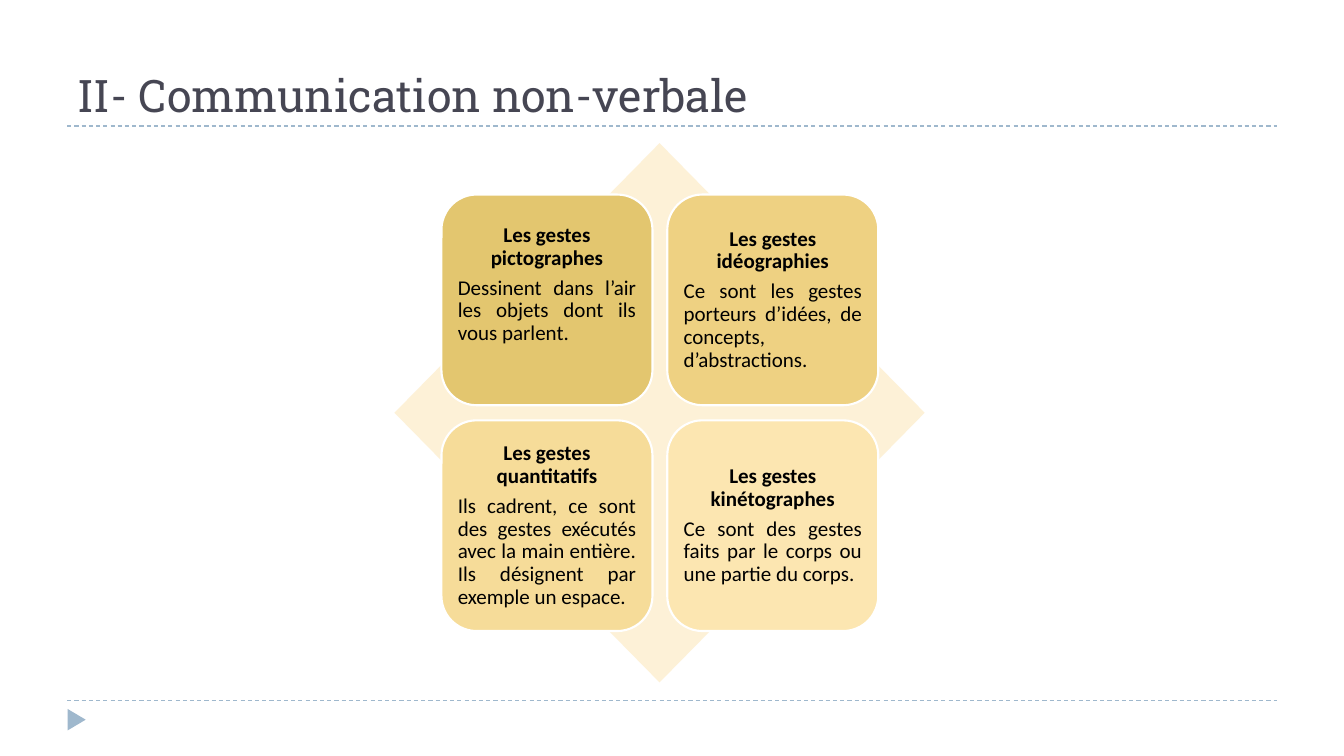
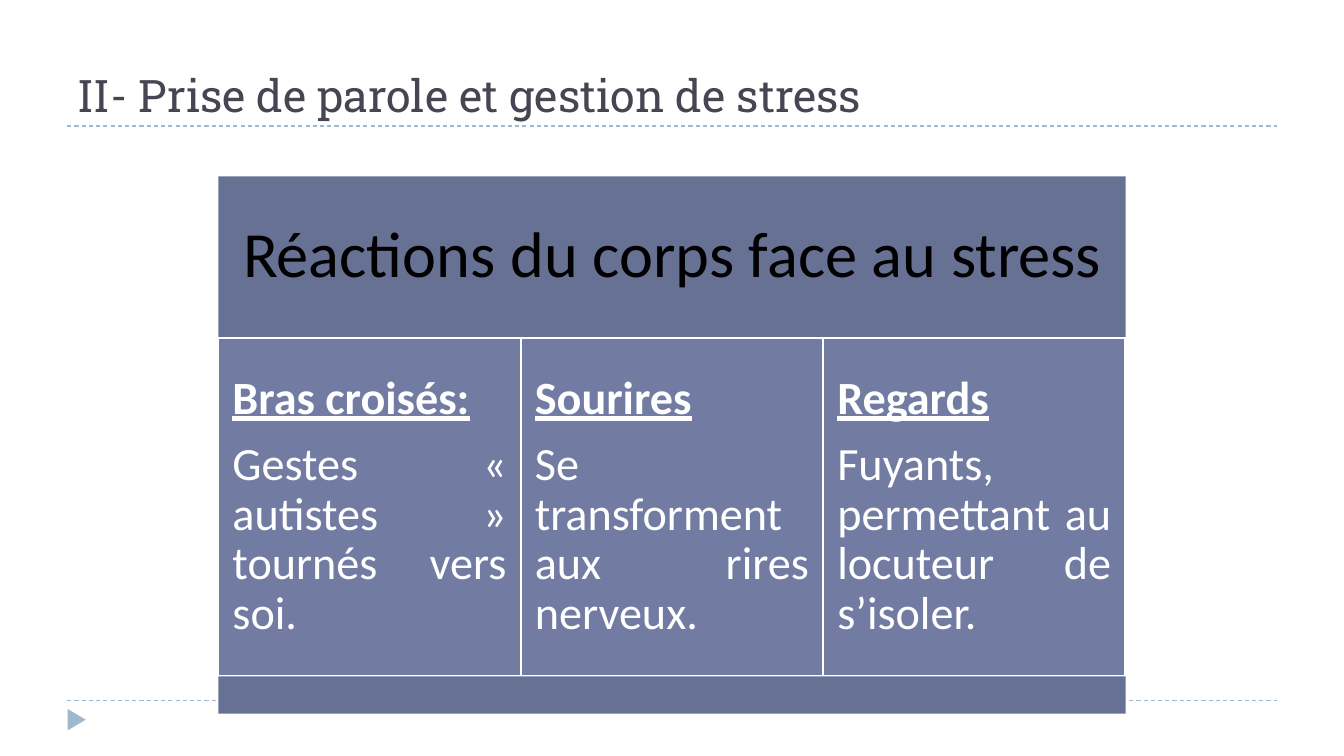
import pptx
import pptx.util
import pptx.dml.color
import pptx.enum.dml
import pptx.enum.shapes
import pptx.enum.text
import pptx.oxml.ns
import lxml.etree

RGBColor = pptx.dml.color.RGBColor
SHAPES = pptx.enum.shapes.MSO_SHAPE
ANCHOR = pptx.enum.text.MSO_ANCHOR
ALIGN = pptx.enum.text.PP_ALIGN

WHITE = RGBColor(0xFF, 0xFF, 0xFF)
BLACK = RGBColor(0x00, 0x00, 0x00)
TITLE_GREY = RGBColor(0x46, 0x46, 0x53)
RULE_BLUE = RGBColor(0x9F, 0xB8, 0xCD)
DIAMOND_CREAM = RGBColor(0xFD, 0xF1, 0xD7)
BAND_BLUE = RGBColor(0x67, 0x71, 0x94)
PANEL_BLUE = RGBColor(0x72, 0x7C, 0xA3)

TITLE_FONT = "Roboto Slab"
BODY_FONT = "Calibri"

presentation = pptx.Presentation()
presentation.slide_width = pptx.util.Inches(13.33)
presentation.slide_height = pptx.util.Inches(7.5)
COLUMN = presentation.slide_width / 20
ROW = presentation.slide_height / 30


def add_block(slide, preset, left, top, width, height, fill, outlined=False):
    """Add a flat shape; left and width in columns, top and height in rows."""
    shape = slide.shapes.add_shape(
        preset, int(left * COLUMN), int(top * ROW), int(width * COLUMN), int(height * ROW))
    shape.shadow.inherit = False
    shape.fill.solid()
    shape.fill.fore_color.rgb = fill
    if outlined:
        shape.line.color.rgb = WHITE
        shape.line.width = pptx.util.Pt(1.5)
    else:
        shape.line.fill.background()
    return shape


def write_text(shape, lines, size, color, inset, font=BODY_FONT, anchor=ANCHOR.MIDDLE):
    """Fill a shape with lines given as (text, alignment, bold, underline)."""
    frame = shape.text_frame
    frame.word_wrap = True
    frame.vertical_anchor = anchor
    frame.margin_left = frame.margin_right = pptx.util.Inches(inset)
    frame.margin_top = frame.margin_bottom = pptx.util.Inches(inset)
    frame.text = "\n".join(line[0] for line in lines)
    for paragraph, (text, alignment, bold, underline) in zip(frame.paragraphs, lines):
        paragraph.alignment = alignment
        paragraph.line_spacing = 0.9
        paragraph.space_after = pptx.util.Pt(round(0.35 * size, 2))
        for run in paragraph.runs:
            run.font.name = font
            run.font.size = pptx.util.Pt(size)
            run.font.color.rgb = color
            run.font.bold = bold
            run.font.underline = underline


# Slides with their shared title, rules and footer marker
slides = []
for title in ["II- Communication non-verbale", "II- Prise de parole et gestion de stress"]:
    slide = presentation.slides.add_slide(presentation.slide_layouts[6])
    slides.append(slide)
    for rule_row in (27.8, 5):
        rule = slide.shapes.add_connector(
            pptx.enum.shapes.MSO_CONNECTOR.STRAIGHT,
            int(COLUMN), int(rule_row * ROW), int(19 * COLUMN), int(rule_row * ROW))
        rule.line.color.rgb = RULE_BLUE
        rule.line.width = pptx.util.Pt(0.75)
        rule.line.dash_style = pptx.enum.dml.MSO_LINE.DASH
        lxml.etree.SubElement(rule._element.spPr, pptx.oxml.ns.qn("a:effectLst"))
    marker = add_block(slide, SHAPES.ISOSCELES_TRIANGLE, 0.98, 28.2, 0.32, 0.72, RULE_BLUE)
    marker.rotation = 90
    title_box = slide.shapes.add_textbox(
        int(COLUMN), int(0.7 * ROW), int(18 * COLUMN), int(4.3 * ROW))
    write_text(title_box, [(title, ALIGN.LEFT, False, False)], 32, TITLE_GREY, 0.1,
               TITLE_FONT, ANCHOR.BOTTOM)
    title_box.text_frame.margin_top = title_box.text_frame.margin_bottom = pptx.util.Inches(0.05)
    title_box.text_frame.paragraphs[0].line_spacing = 1.0
    title_box.text_frame.paragraphs[0].space_after = pptx.util.Pt(0)

gestures_slide, stress_slide = slides

# Four kinds of gesture over a diamond
add_block(gestures_slide, SHAPES.DIAMOND, 5.87, 5.68, 7.89, 21.4, DIAMOND_CREAM)
gestures = [
    ("Les gestes pictographes", "Dessinent dans l’air les objets dont ils vous parlent.",
     RGBColor(0xE3, 0xC6, 0x6F)),
    ("Les gestes idéographies",
     "Ce sont les gestes porteurs d’idées, de concepts, d’abstractions.",
     RGBColor(0xEE, 0xD1, 0x82)),
    ("Les gestes quantitatifs",
     "Ils cadrent, ce sont des gestes exécutés avec la main entière. "
     "Ils désignent par exemple un espace.",
     RGBColor(0xF6, 0xDC, 0x99)),
    ("Les gestes kinétographes", "Ce sont des gestes faits par le corps ou une partie du corps.",
     RGBColor(0xFC, 0xE6, 0xB1)),
]
cards = []
for index, (heading, description, fill) in enumerate(gestures):
    card_row, card_column = divmod(index, 2)
    card = add_block(gestures_slide, SHAPES.ROUNDED_RECTANGLE,
                     6.57 + 3.36 * card_column, 7.72 + 8.96 * card_row, 3.14, 8.36, fill, True)
    write_text(card, [(heading, ALIGN.CENTER, True, False),
                      (description, ALIGN.JUSTIFY, False, False)], 15, BLACK, 0.06)
    cards.append(card)
# The first card's text sits one line higher
cards[0].text_frame.margin_bottom = pptx.util.Inches(0.36)

# Reactions to stress: header band, three panels, closing band
header = add_block(stress_slide, SHAPES.RECTANGLE, 3.25, 7, 13.5, 6.4, BAND_BLUE)
write_text(header, [("Réactions du corps face au stress", ALIGN.CENTER, False, False)],
           46, BLACK, 0.19)
reactions = [
    ("Bras croisés:", "Gestes « autistes » tournés vers soi."),
    ("Sourires", "Se transforment aux rires nerveux."),
    ("Regards", "Fuyants, permettant au locuteur de s’isoler."),
]
for index, (heading, description) in enumerate(reactions):
    panel = add_block(stress_slide, SHAPES.RECTANGLE,
                      3.25 + 4.5 * index, 13.4, 4.5, 13.44, PANEL_BLUE, True)
    write_text(panel, [(heading, ALIGN.JUSTIFY, True, True),
                       (description, ALIGN.JUSTIFY, False, False)], 33, WHITE, 0.14)
add_block(stress_slide, SHAPES.RECTANGLE, 3.25, 26.84, 13.5, 1.48, BAND_BLUE)

presentation.save("out.pptx")
